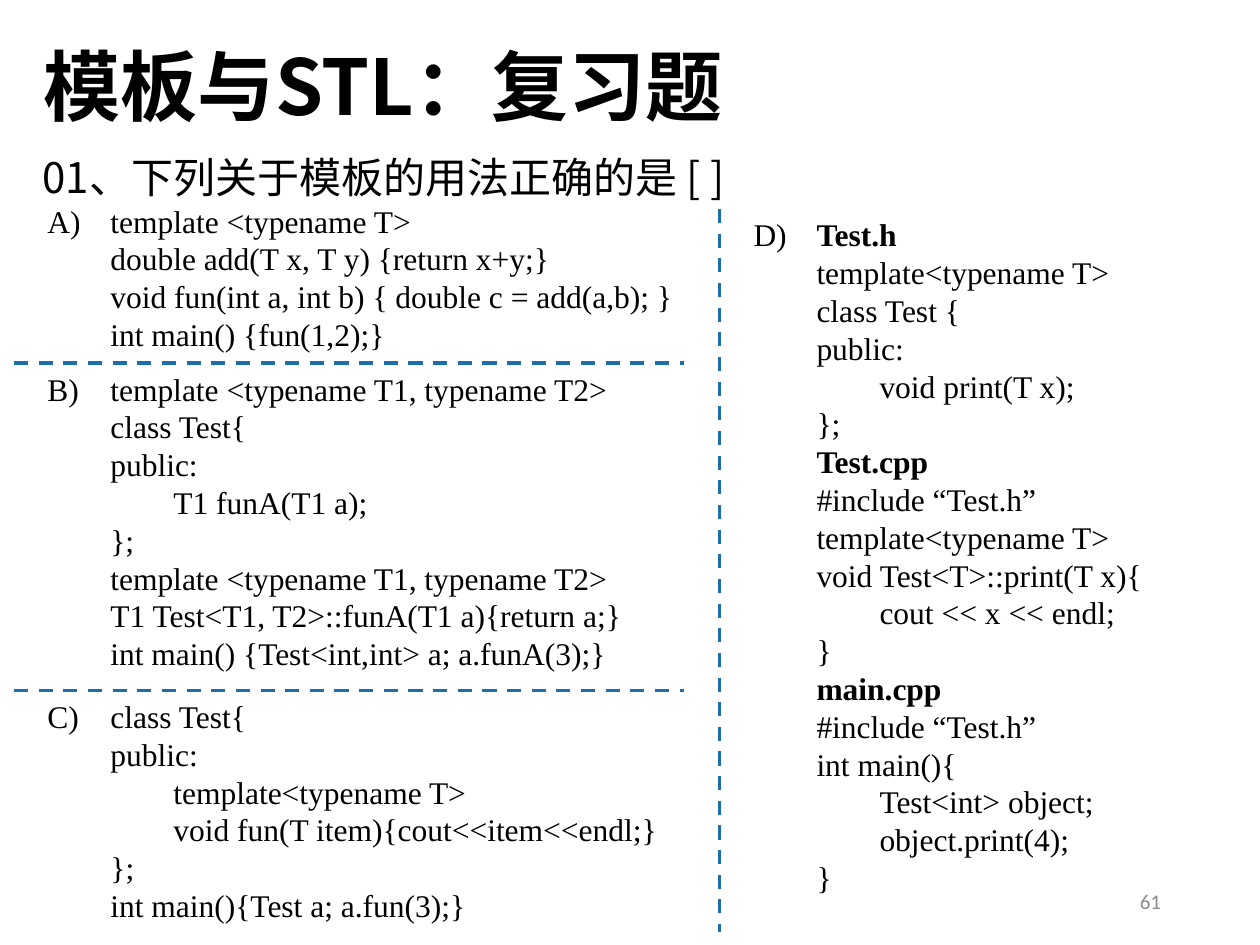
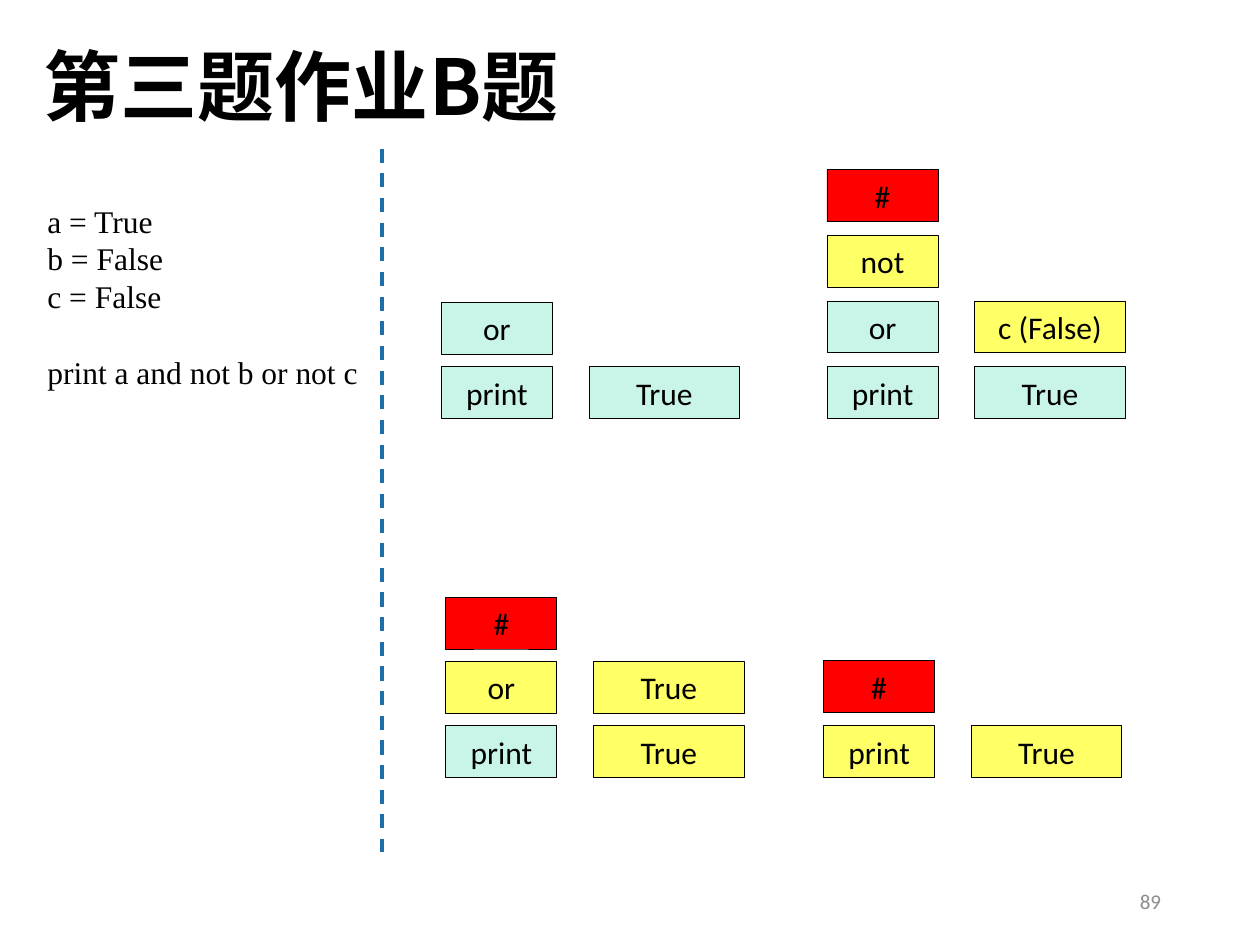
"""Builds two review slides: a template quiz and an operator stack trace."""
import pptx
import pptx.util
import pptx.dml.color
import pptx.enum.dml
import pptx.enum.shapes
import pptx.enum.text
import pptx.oxml
from pptx.oxml.ns import qn

Pt = pptx.util.Pt
ALIGN = pptx.enum.text.PP_ALIGN
MIDDLE = pptx.enum.text.MSO_ANCHOR.MIDDLE

BLACK, GREY, BLUE = "000000", "8C8C8C", "1D6FA9"
MINT, YELLOW, RED = "C8F5E8", "FFFF66", "FF0000"
SANS, SERIF, PLAIN = "Noto Sans CJK SC", "Times New Roman", "Calibri"

PART_A = """A) \ttemplate <typename T>
\tdouble add(T x, T y) {return x+y;}
\tvoid fun(int a, int b) { double c = add(a,b); }
\tint main() {fun(1,2);}"""

PART_B = """B) \ttemplate <typename T1, typename T2>
\tclass Test{
\tpublic:
\t\tT1 funA(T1 a);
\t};
\ttemplate <typename T1, typename T2>
\tT1 Test<T1, T2>::funA(T1 a){return a;}
\tint main() {Test<int,int> a; a.funA(3);}"""

PART_C = """C) \tclass Test{
\tpublic:
\t\ttemplate<typename T>
\t\tvoid fun(T item){cout<<item<<endl;}
\t};
\tint main(){Test a; a.fun(3);}"""

PART_D = """D) \tTest.h
\ttemplate<typename T>
\tclass Test {
\tpublic:
\t\tvoid print(T x);
\t};
\tTest.cpp
\t#include “Test.h”
\ttemplate<typename T>
\tvoid Test<T>::print(T x){
\t\tcout << x << endl;
\t}
\tmain.cpp
\t#include “Test.h”
\tint main(){
\t\tTest<int> object;
\t\tobject.print(4);
\t}"""

LOGIC = """a = True
b = False
c = False
print a and not b or not c"""


def paint(code):
    """Turn a hex string into a colour."""
    return pptx.dml.color.RGBColor.from_string(code)


def style(run, size, face, color=BLACK, bold=False):
    """Set the font of a run for Latin and East Asian text."""
    font = run.font
    font.size, font.name, font.bold = Pt(size), face, bold
    font.color.rgb = paint(color)
    east = pptx.oxml.parse_xml(
        '<a:ea xmlns:a="http://schemas.openxmlformats.org/drawingml/2006/main"'
        f' typeface="{face}"/>')
    run._r.get_or_add_rPr().find(qn("a:latin")).addnext(east)


def label(slide, area, text, size, face, color=BLACK, bold=False):
    """Add a one-line text box and return its frame."""
    frame = slide.shapes.add_textbox(*map(Pt, area)).text_frame
    frame.word_wrap = True
    frame.text = text
    style(frame.paragraphs[0].runs[0], size, face, color, bold)
    return frame


def base(deck, title, page):
    """Add a blank slide with its title and page number."""
    slide = deck.slides.add_slide(deck.slide_layouts[6])
    head = label(slide, (18, 24.5, 620.5, 60.5), title, 44, SANS, bold=True)
    head.paragraphs[0].line_spacing = 0.9
    foot = label(slide, (508.5, 500.5, 162, 28.8), page, 12, PLAIN, GREY)
    foot.vertical_anchor = MIDDLE
    foot.paragraphs[0].alignment = ALIGN.RIGHT
    return slide


def stops(para):
    """Give a paragraph tab stops every half inch."""
    tabs = pptx.oxml.parse_xml(
        '<a:tabLst xmlns:a="http://schemas.openxmlformats.org/drawingml/2006/main">'
        '<a:tab pos="457200" algn="l"/><a:tab pos="914400" algn="l"/></a:tabLst>')
    para._p.get_or_add_pPr().append(tabs)


def code(slide, area, text):
    """Add a code listing with file names in bold and return its frame."""
    frame = slide.shapes.add_textbox(*map(Pt, area)).text_frame
    frame.word_wrap = True
    frame.text = text
    for para in frame.paragraphs:
        stops(para)
        run = para.runs[0]
        lead, tab, name = run.text.rpartition("\t")
        titled = name.endswith((".h", ".cpp"))
        if titled:
            run.text = lead + tab
            tail = para.add_run()
            tail.text = name
            style(tail, 18, SERIF, bold=True)
        style(run, 18, SERIF)
    return frame


def rule(slide, *ends):
    """Draw a dashed divider between two points."""
    kind = pptx.enum.shapes.MSO_CONNECTOR.STRAIGHT
    line = slide.shapes.add_connector(kind, *map(Pt, ends))
    line.line.color.rgb = paint(BLUE)
    line.line.width = Pt(2)
    line.line.dash_style = pptx.enum.dml.MSO_LINE.DASH
    line._element.spPr.append(pptx.oxml.parse_xml(
        '<a:effectLst xmlns:a="http://schemas.openxmlformats.org/drawingml/2006/main"/>'))


def cell(slide, left, top, width, text, fill):
    """Draw one filled stack cell."""
    kind = pptx.enum.shapes.MSO_SHAPE.RECTANGLE
    box = slide.shapes.add_shape(kind, Pt(left), Pt(top), Pt(width), Pt(29.7))
    box.shadow.inherit = False
    box.fill.solid()
    box.fill.fore_color.rgb = paint(fill)
    box.line.color.rgb = paint(BLACK)
    box.line.width = Pt(0.5)
    box.text_frame.text = text
    box.text_frame.vertical_anchor = MIDDLE
    para = box.text_frame.paragraphs[0]
    para.alignment = ALIGN.CENTER
    style(para.runs[0], 18, PLAIN)


def stack(slide, left, low, step, ops, vals):
    """Draw an operator stack and its value stack upwards from the lowest row."""
    for shift, width, items in ((0, 63.5, ops), (84.4, 86, vals)):
        for row, (text, fill) in enumerate(items):
            cell(slide, left + shift, low - row * step, width, text, fill)


def quiz(deck):
    """Build the template question."""
    slide = base(deck, "模板与STL：复习题", "61")
    label(slide, (17.3, 82.8, 702.7, 36), "01、下列关于模板的用法正确的是 [ ]", 24, SANS)
    code(slide, (20, 111.6, 425.5, 94.3), PART_A)
    code(slide, (20, 207.7, 391, 181.4), PART_B)
    code(slide, (20, 394.7, 425.5, 138.2), PART_C)
    code(slide, (423.5, 119.5, 248.4, 399.6), PART_D)
    rule(slide, 411.2, 119.5, 411.2, 532.8)
    for top in (207.5, 394.6):
        rule(slide, 8, top, 391, top)


def trace(deck):
    """Build the operator stack trace."""
    slide = base(deck, "第三题作业B题", "89")
    frame = code(slide, (20, 111.6, 198.7, 116.6), LOGIC)
    frame.paragraphs[-1].space_before = Pt(21.6)
    rule(slide, 218.3, 85, 218.3, 486.7)
    end = ("#", RED)
    stack(slide, 252.2, 209.5, 36.7,
          [("print", MINT), ("or", MINT)], [("True", MINT)])
    stack(slide, 472.6, 209.5, 37.5,
          [("print", MINT), ("or", MINT), ("not", YELLOW), end],
          [("True", MINT), ("c (False)", YELLOW)])
    stack(slide, 254.8, 414.6, 36.7,
          [("print", MINT), ("or", YELLOW), end],
          [("True", YELLOW), ("True", YELLOW)])
    stack(slide, 470.6, 414.6, 37.2,
          [("print", YELLOW), end], [("True", YELLOW)])


def main():
    """Build and save the deck."""
    deck = pptx.Presentation()
    deck.slide_width, deck.slide_height = Pt(720), Pt(540)
    quiz(deck)
    trace(deck)
    deck.save("out.pptx")


if __name__ == "__main__":
    main()
